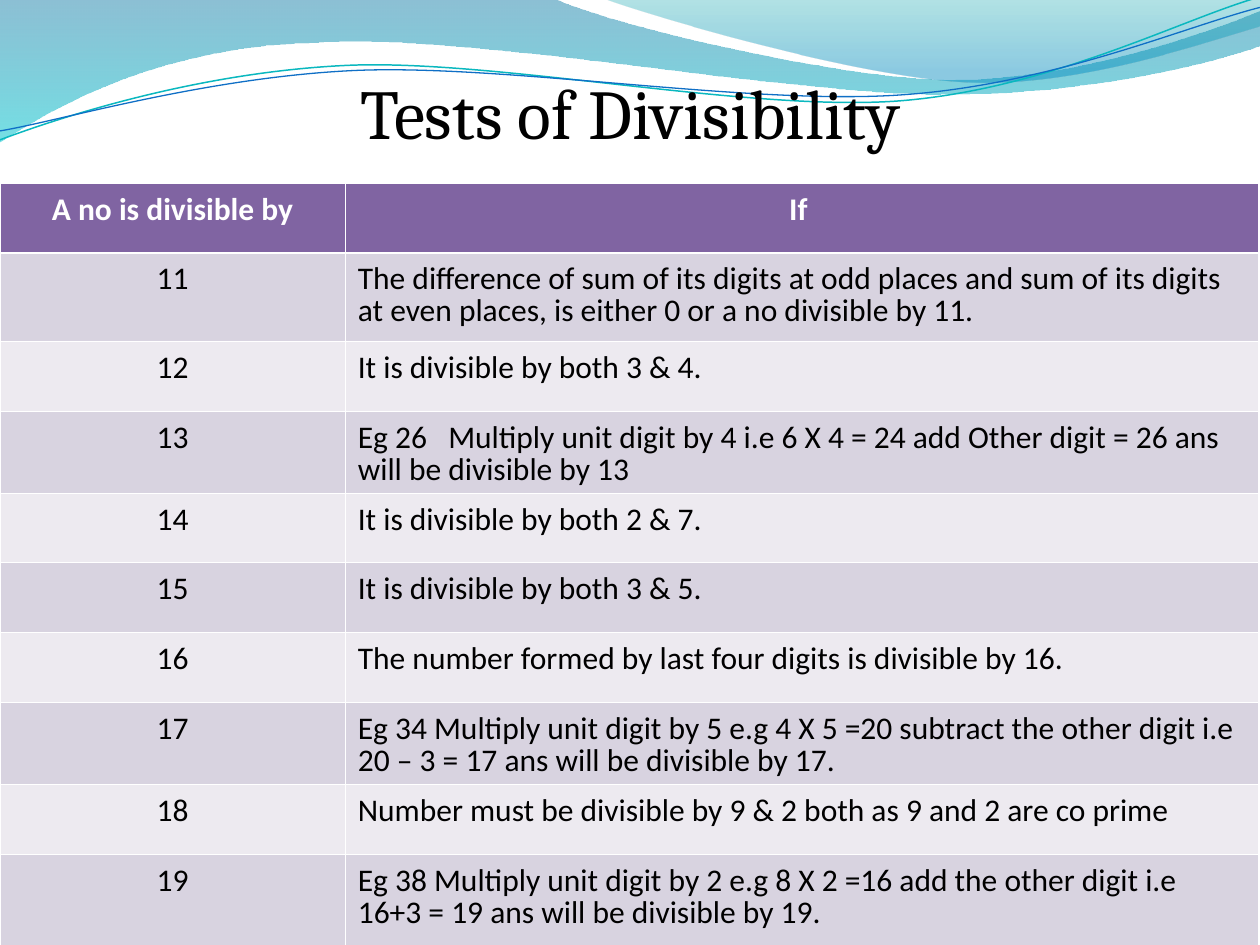
from dataclasses import dataclass

from lxml import etree
from pptx import Presentation
from pptx import util as u
from pptx.dml.color import RGBColor
from pptx.enum import text
from pptx.oxml import ns
from pptx.util import Cm


@dataclass(frozen=True)
class Theme:
    head_fill: str = "8064A2"
    bands: tuple = ("D8D3E0", "EDEAF0")
    white: str = "FFFFFF"
    black: str = "000000"
    wave: tuple = ((0, "0074A1", 45), (1, "00C6CF", 55))
    crest: tuple = ((0, "00A1A9", 30), (0.8, "008BBF", 45))
    teal: str = "0AB8BF"
    blue: str = "0F6FC6"
    title_font: str = "Cambria"
    body_font: str = "Calibri"
    title_size: int = 40
    body_size: int = 18


def draw_outline(shapes, start, segments, close):
    points = [(Cm(seg[i]), Cm(seg[i + 1])) for seg in segments for i in range(0, len(seg), 2)]
    builder = shapes.build_freeform(Cm(start[0]), Cm(start[1]))
    builder.add_line_segments(points, close=close)
    sp = builder.convert_to_shape()
    sp.shadow.inherit = False
    steps = iter(sp._element.xpath(".//a:lnTo"))
    for seg in segments:
        step = next(steps)
        if len(seg) == 6:
            step.addprevious(curve := etree.Element(ns.qn("a:cubicBezTo")))
            for knot in (step, next(steps), next(steps)):
                curve.append(knot[0])
                knot.getparent().remove(knot)
    return sp


def set_border(cell, side, color, width):
    ln = etree.SubElement(cell._tc.get_or_add_tcPr(), ns.qn(f"a:ln{side}"), w=str(u.Pt(width)))
    fill = etree.SubElement(ln, ns.qn("a:solidFill"))
    etree.SubElement(fill, ns.qn("a:srgbClr"), val=color)


theme = Theme()
prs = Presentation()
prs.slide_width, prs.slide_height = Cm(25.4), Cm(19.05)
s = prs.slides.add_slide(prs.slide_layouts[5])

wave = [
    (11.18, -0.02),
    (12.09, 0.43, 16.87, 1.6, 19.25, 1.6),
    (21.67, 1.6, 24.33, 0.66, 25.4, 0.23),
    (25.43, 0.91),
    (24.97, 1.12, 22.1, 1.93, 18.95, 1.9),
    (15.8, 1.9, 9.7, 0.71, 6.53, 0.86),
    (3.28, 0.91, 1.17, 2.11, -0.02, 2.87),
]
crest = [
    (12.93, 0.28, 17.32, 1.57, 19.53, 1.65),
    (21.74, 1.75, 24.41, 0.81, 25.4, 0.53),
    (25.4, 0),
]
for start, segments, stops in (((0, 0), wave, theme.wave), ((12.17, -0.02), crest, theme.crest)):
    sp = draw_outline(s.shapes, start, segments, True)
    sp.line.fill.background()
    sp.fill.gradient()
    sp.fill.gradient_angle = 270
    for stop, (position, color, _) in zip(sp.fill.gradient_stops, stops):
        stop.position = position
        stop.color.rgb = RGBColor.from_string(color)
    for clr, (_, _, opacity) in zip(sp._element.xpath(".//a:gs/a:srgbClr"), stops):
        etree.SubElement(clr, ns.qn("a:alpha"), val=str(opacity * 1000))

teal_line = [
    (1.19, 1.82, 4.02, 1.04, 7.05, 1.05),
    (10.05, 1.07, 15.02, 2.37, 18.08, 2.29),
    (21.13, 2.2, 23.87, 0.91, 25.41, 0.55),
]
blue_line = [
    (1.16, 1.9, 4.18, 1.15, 7.2, 1.16),
    (10.25, 1.18, 15.13, 2.25, 18.18, 2.17),
    (21.21, 2.1, 23.93, 1.06, 25.45, 0.75),
]
for start, segments, color, width in (
    ((-0.05, 2.22), teal_line, theme.teal, 0.85),
    ((-0.04, 2.04), blue_line, theme.blue, 0.75),
):
    sp = draw_outline(s.shapes, start, segments, False)
    sp.rotation = 357.3
    sp.fill.background()
    sp.line.color.rgb = RGBColor.from_string(color)
    sp.line.width = u.Pt(width)

rows = [
    ("A no is divisible by", "If "),
    ("11", "The difference of sum of its digits at odd places and sum of its digits "
           "at even places, is either 0 or a no divisible by 11."),
    ("12", "It is divisible by both 3 & 4."),
    ("13", "Eg 26   Multiply unit digit by 4 i.e 6 X 4 = 24 add Other digit = 26 ans "
           "will be divisible by 13"),
    ("14", "It is divisible by both 2 & 7."),
    ("15", "It is divisible by both 3 & 5."),
    ("16", "The number formed by last four digits is divisible by 16."),
    ("17", "Eg 34 Multiply unit digit by 5 e.g 4 X 5 =20 subtract the other digit i.e "
           "20 – 3 = 17 ans will be divisible by 17."),
    ("18", "Number must be divisible by 9 & 2 both as 9 and 2 are co prime"),
    ("19", "Eg 38 Multiply unit digit by 2 e.g 8 X 2 =16 add the other digit i.e "
           "16+3 = 19 ans will be divisible by 19."),
]
row_heights = [1.41, 1.78, 1.41, 1.65, 1.4, 1.41, 1.41, 1.65, 1.41, 2.22]
table = s.shapes.add_table(len(rows), 2, Cm(0), Cm(3.69), Cm(25.37), Cm(sum(row_heights))).table
for column, width in zip(table.columns, (6.96, 18.41)):
    column.width = Cm(width)
for i, (row, height) in enumerate(zip(rows, row_heights)):
    table.rows[i].height = Cm(height)
    for j, words in enumerate(row):
        cell = table.cell(i, j)
        for side in "LRTB":
            thick = (i, side) in ((0, "B"), (1, "T"))
            set_border(cell, side, theme.white, 1.47 if thick else 0.45)
        cell.fill.solid()
        cell.fill.fore_color.rgb = RGBColor.from_string(
            theme.bands[(i - 1) % 2] if i else theme.head_fill)
        cell.margin_top = Cm(0.23)
        cell.text = words
        p = cell.text_frame.paragraphs[0]
        p.alignment = text.PP_ALIGN.CENTER if i == 0 or j == 0 else text.PP_ALIGN.LEFT
        p.line_spacing = 0.83
        p.font.name = theme.body_font
        p.font.size = u.Pt(theme.body_size)
        p.font.bold = i == 0
        p.font.color.rgb = RGBColor.from_string(theme.black if i else theme.white)

title = s.shapes.title
title.left, title.top, title.width, title.height = Cm(1.27), Cm(0.65), Cm(22.86), Cm(3.18)
s.shapes._spTree.append(title._element)
tf = title.text_frame
tf.text = "Tests of Divisibility"
tf.vertical_anchor = text.MSO_ANCHOR.MIDDLE
p = tf.paragraphs[0]
p.alignment = text.PP_ALIGN.CENTER
p.font.name = theme.title_font
p.font.size = u.Pt(theme.title_size)
p.font.color.rgb = RGBColor.from_string(theme.black)

prs.save("out.pptx")
